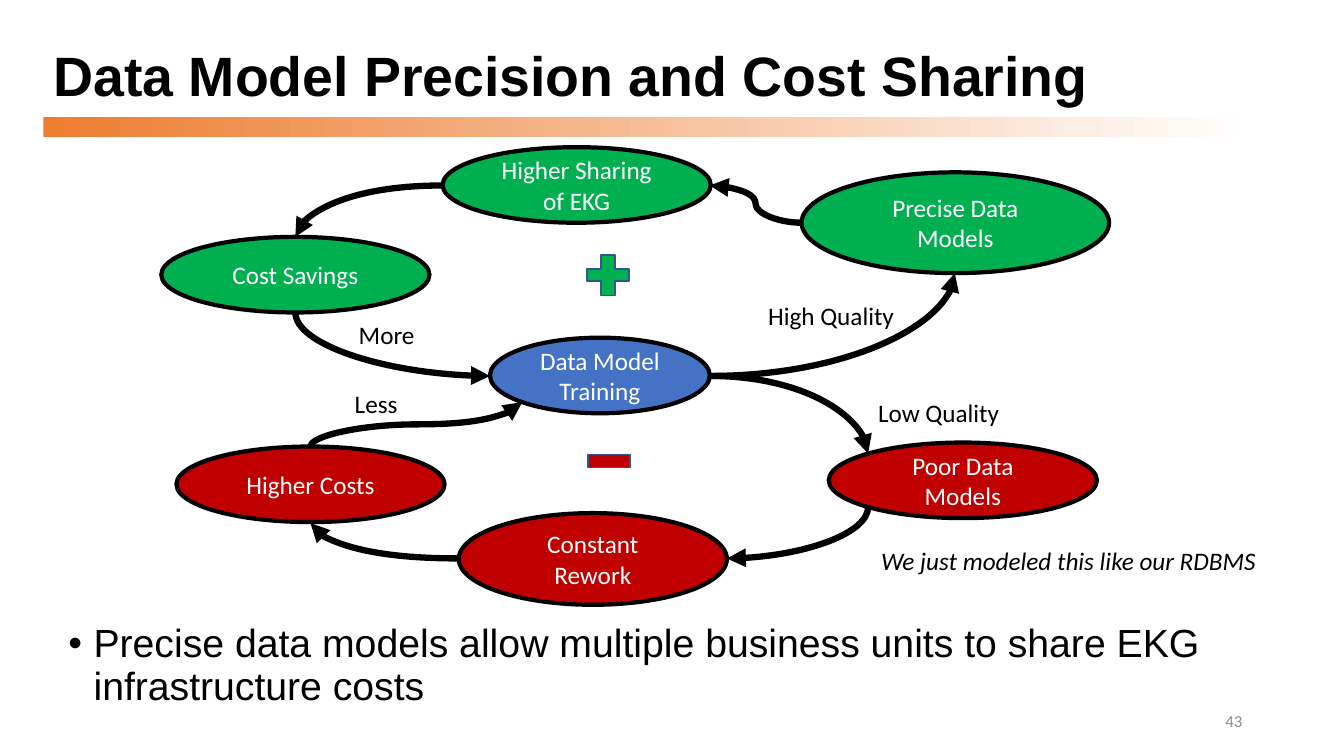
from lxml.etree import SubElement
from pptx import Presentation
from pptx.dml.color import RGBColor
from pptx.enum.shapes import MSO_CONNECTOR, MSO_SHAPE
from pptx.enum.text import MSO_ANCHOR, MSO_AUTO_SIZE, PP_ALIGN
from pptx.oxml.ns import qn
from pptx.util import Inches, Pt

BLACK = RGBColor(0x00, 0x00, 0x00)
WHITE = RGBColor(0xFF, 0xFF, 0xFF)
GRAY = RGBColor(0x8C, 0x8C, 0x8C)
ORANGE = RGBColor(0xED, 0x7D, 0x31)
GREEN = RGBColor(0x00, 0xB0, 0x50)
RED = RGBColor(0xC0, 0x00, 0x00)
BLUE = RGBColor(0x44, 0x72, 0xC4)
SIGN_EDGE = RGBColor(0x32, 0x54, 0x91)


class CycleSlide:
    HEADING_FONT = "Arial"
    DIAGRAM_FONT = "Calibri"

    def __init__(self, presentation):
        self.slide = presentation.slides.add_slide(presentation.slide_layouts[5])
        self.shapes = self.slide.shapes

    def format_text(self, frame, size, color, font=DIAGRAM_FONT, align=PP_ALIGN.LEFT,
                    bold=False, italic=False):
        for paragraph in frame.paragraphs:
            paragraph.alignment = align
            for run in paragraph.runs:
                run.font.name = font
                run.font.size = Pt(size)
                run.font.color.rgb = color
                run.font.bold = bold
                run.font.italic = italic

    def title(self, text, left, top, width, height):
        heading = self.shapes.title
        heading.left, heading.top = Inches(left), Inches(top)
        heading.width, heading.height = Inches(width), Inches(height)
        frame = heading.text_frame
        frame.text = text
        frame.auto_size = MSO_AUTO_SIZE.NONE
        frame.vertical_anchor = MSO_ANCHOR.MIDDLE
        frame.paragraphs[0].line_spacing = 0.9
        self.format_text(frame, 39.6, BLACK, self.HEADING_FONT, bold=True)

    def text(self, text, left, top, width, height=0.4, size=18, color=BLACK,
             wrap=False, **style):
        box = self.shapes.add_textbox(Inches(left), Inches(top), Inches(width), Inches(height))
        frame = box.text_frame
        frame.word_wrap = wrap
        frame.text = text
        self.format_text(frame, size, color, **style)
        return frame

    def bullet(self, text, left, top, width, height):
        frame = self.text(text, left, top, width, height, size=28, wrap=True,
                          font=self.HEADING_FONT)
        paragraph = frame.paragraphs[0]
        paragraph.line_spacing = 0.9
        properties = paragraph._p.get_or_add_pPr()
        properties.set("marL", str(Inches(0.25)))
        properties.set("indent", str(Inches(-0.25)))
        SubElement(properties, qn("a:buFont")).set("typeface", "Arial")
        SubElement(properties, qn("a:buChar")).set("char", "•")

    def shape(self, kind, left, top, width, height, fill=None, edge=None, edge_width=1):
        item = self.shapes.add_shape(kind, Inches(left), Inches(top),
                                     Inches(width), Inches(height))
        item.shadow.inherit = False
        if fill is not None:
            item.fill.solid()
            item.fill.fore_color.rgb = fill
        if edge is None:
            item.line.fill.background()
        else:
            item.line.color.rgb = edge
            item.line.width = Pt(edge_width)
        return item

    def gradient_bar(self, left, top, width, height, start, end):
        fill = self.shape(MSO_SHAPE.RECTANGLE, left, top, width, height).fill
        fill.gradient()
        fill.gradient_angle = 0
        for stop, color, position in zip(fill.gradient_stops, (start, end), (0, 1)):
            stop.color.rgb = color
            stop.position = position

    def stage(self, text, fill, left, top, width=2.66, height=0.75):
        ellipse = self.shape(MSO_SHAPE.OVAL, left, top, width, height, fill, BLACK, 3)
        frame = ellipse.text_frame
        frame.text = text
        frame.vertical_anchor = MSO_ANCHOR.MIDDLE
        self.format_text(frame, 18, WHITE, align=PP_ALIGN.CENTER)

    def arrow(self, start, end, bends=1, vertical=False):
        """Curved arrow; a vertical one leaves its start upwards or downwards."""
        (x1, y1), (x2, y2) = start, end
        rotation = 0
        if vertical:
            # A quarter turn about the middle swaps the two extents
            rotation = 270 if x2 > x1 else 90
            mid_x, mid_y = (x1 + x2) / 2, (y1 + y2) / 2
            half_width = (y2 - y1) / 2 * (-1 if rotation == 270 else 1)
            half_height = abs(x2 - x1) / 2
            x1, x2 = mid_x - half_width, mid_x + half_width
            y1, y2 = mid_y - half_height, mid_y + half_height
        curve = self.shapes.add_connector(MSO_CONNECTOR.CURVE, Inches(x1), Inches(y1),
                                          Inches(x2), Inches(y2))
        curve.line.color.rgb = BLACK
        curve.line.width = Pt(4.5)
        properties = curve._element.spPr
        properties.find(qn("a:prstGeom")).set("prst", f"curvedConnector{bends + 1}")
        if rotation:
            properties.find(qn("a:xfrm")).set("rot", str(rotation * 60000))
        SubElement(curve.line._get_or_add_ln(), qn("a:tailEnd")).set("type", "triangle")
        SubElement(properties, qn("a:effectLst"))


def main():
    presentation = Presentation()
    presentation.slide_width, presentation.slide_height = Inches(13.33), Inches(7.5)
    cycle = CycleSlide(presentation)

    # Heading, takeaway and page number
    cycle.gradient_bar(0.43, 1.16, 11.98, 0.2, ORANGE, WHITE)
    cycle.title("Data Model Precision and Cost Sharing", 0.43, 0.4, 11.98, 0.76)
    cycle.bullet("Precise data models allow multiple business units to share EKG "
                 "infrastructure costs", 0.58, 6.14, 11.5, 0.98)
    page = cycle.text("43", 9.42, 6.95, 3, size=12, color=GRAY, wrap=True,
                      align=PP_ALIGN.RIGHT)
    page.vertical_anchor = MSO_ANCHOR.MIDDLE

    # Arrows of the positive loop, then of the negative loop
    training_exit = (7.04, 3.73)
    cycle.arrow(training_exit, (9.47, 2.71))
    cycle.arrow((7.95, 2.21), (7.04, 1.84), bends=2)
    cycle.arrow((4.39, 1.84), (2.93, 2.35))
    cycle.arrow((2.93, 3.1), (4.86, 3.73), vertical=True)
    cycle.arrow(training_exit, (8.61, 4.5))
    cycle.arrow((8.61, 5.03), (7.21, 5.54), vertical=True)
    cycle.arrow((4.55, 5.54), (3.08, 5.19))
    cycle.arrow((3.08, 4.43), (5.18, 3.99), bends=2, vertical=True)

    # Stages
    cycle.stage("Data Model\nTraining", BLUE, 4.86, 3.35, width=2.18)
    cycle.stage("Precise Data Models", GREEN, 7.95, 1.71, width=3.05, height=1)
    cycle.stage("Higher Sharing of EKG", GREEN, 4.39, 1.46)
    cycle.stage("Cost Savings", GREEN, 1.6, 2.35)
    cycle.stage("Poor Data Models", RED, 8.22, 4.39)
    cycle.stage("Constant Rework", RED, 4.55, 5.09, height=0.91)
    cycle.stage("Higher Costs", RED, 1.75, 4.43)

    # Plus and minus signs
    plus = cycle.shape(MSO_SHAPE.CROSS, 5.82, 2.53, 0.42, 0.4, GREEN, SIGN_EDGE)
    plus.adjustments[0] = 0.35
    cycle.shape(MSO_SHAPE.RECTANGLE, 5.83, 4.51, 0.42, 0.13, RED, SIGN_EDGE)

    # Labels
    cycle.text("High Quality", 7.52, 2.93, 1.47)
    cycle.text("Low Quality", 8.61, 3.89, 1.42)
    cycle.text("More", 3.46, 3.12, 0.76)
    cycle.text("Less", 3.42, 3.8, 0.63)
    cycle.text("We just modeled this like our RDBMS", 8.64, 5.36, 4.01, italic=True)

    presentation.save("out.pptx")


if __name__ == "__main__":
    main()
